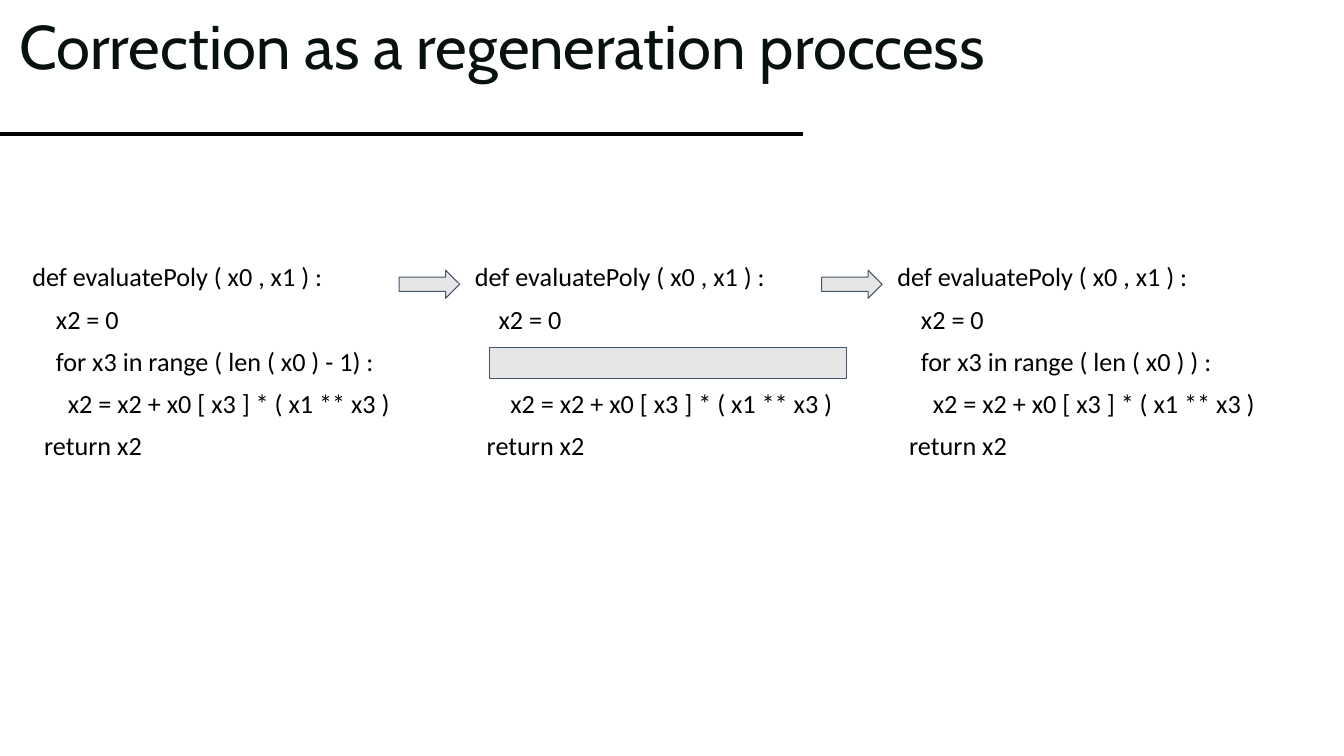
import pptx
import pptx.util
import pptx.dml.color
import pptx.enum.shapes
import pptx.enum.text
import lxml.etree

Inches, Pt = pptx.util.Inches, pptx.util.Pt
Shapes = pptx.enum.shapes.MSO_SHAPE

TITLE = "Correction as a regeneration proccess"
MASKED = None  # the line to be regenerated


def program(loop_line):
    return [
        "def evaluatePoly ( x0 , x1 ) :",
        "    x2 = 0",
        loop_line,
        "      x2 = x2 + x0 [ x3 ] * ( x1 ** x3 )",
        "  return x2",
    ]


# left edge, width, code lines
STAGES = [
    (0.19, 4.42, program("    for x3 in range ( len ( x0 ) - 1) :")),
    (4.58, 4.36, program(MASKED)),
    (8.77, 4.36, program("    for x3 in range ( len ( x0 ) ) :")),
]

THEME = {
    "title": ("Cabin", 44, "08110B"),
    "code": ("Calibri", 18.7, "000000"),
    "rule": "000000",
    "fill": "E7E6E6",
    "outline": "44546A",
}
CODE_TOP, CODE_HEIGHT = 2.49, 3.12
CODE_GAP, CODE_PITCH = 10, 30.2  # points
ARROW_WIDTH, ARROW_LEAD = 0.6, 0.62
MASK_INSET, MASK_WIDTH = 0.28, 3.54


def color(name):
    return pptx.dml.color.RGBColor.from_string(name)


def add_text(page, area, lines, style):
    """Add one paragraph per line; a masked line leaves its height free."""
    box = page.shapes.add_textbox(*map(Inches, area))
    frame = box.text_frame
    frame.word_wrap = True
    frame.vertical_anchor = pptx.enum.text.MSO_ANCHOR.TOP
    frame.margin_left = frame.margin_right = Inches(0.13)
    frame.margin_top = frame.margin_bottom = Inches(0.13)
    font_name, size, ink = THEME[style]
    gap = 0
    for index, line in enumerate(lines):
        if line is MASKED:
            gap += CODE_PITCH
            continue
        para = frame.add_paragraph() if index else frame.paragraphs[0]
        para.line_spacing = 0.9
        para.space_before = Pt(gap)
        span = para.add_run()
        span.text = line
        span.font.name = font_name
        span.font.size = Pt(size)
        span.font.color.rgb = color(ink)
        gap = CODE_GAP


def add_block(page, kind, area):
    block = page.shapes.add_shape(kind, *map(Inches, area))
    block.shadow.inherit = False
    block.fill.solid()
    block.fill.fore_color.rgb = color(THEME["fill"])
    block.line.color.rgb = color(THEME["outline"])
    block.line.width = Pt(0.75)


def add_rule(page):
    rule = page.shapes.add_connector(
        pptx.enum.shapes.MSO_CONNECTOR.STRAIGHT,
        Inches(0), Inches(1.33), Inches(7.96), Inches(1.33))
    rule.line.color.rgb = color(THEME["rule"])
    rule.line.width = Pt(2.25)
    lxml.etree.SubElement(rule._element.spPr, pptx.oxml.ns.qn("a:effectLst"))


def main():
    deck = pptx.Presentation()
    deck.slide_width, deck.slide_height = Inches(13.33), Inches(7.5)
    page = deck.slides.add_slide(deck.slide_layouts[6])

    add_rule(page)
    add_text(page, (0.06, 0.03, 11.31, 1.45), [TITLE], "title")
    for index, (left, width, lines) in enumerate(STAGES):
        add_text(page, (left, CODE_TOP, width, CODE_HEIGHT), lines, "code")
        if MASKED in lines:
            add_block(page, Shapes.RECTANGLE,
                      (left + MASK_INSET, 3.45, MASK_WIDTH, 0.31))
        if index:
            add_block(page, Shapes.RIGHT_ARROW,
                      (left - ARROW_LEAD, 2.68, ARROW_WIDTH, 0.28))

    deck.save("out.pptx")


if __name__ == "__main__":
    main()
